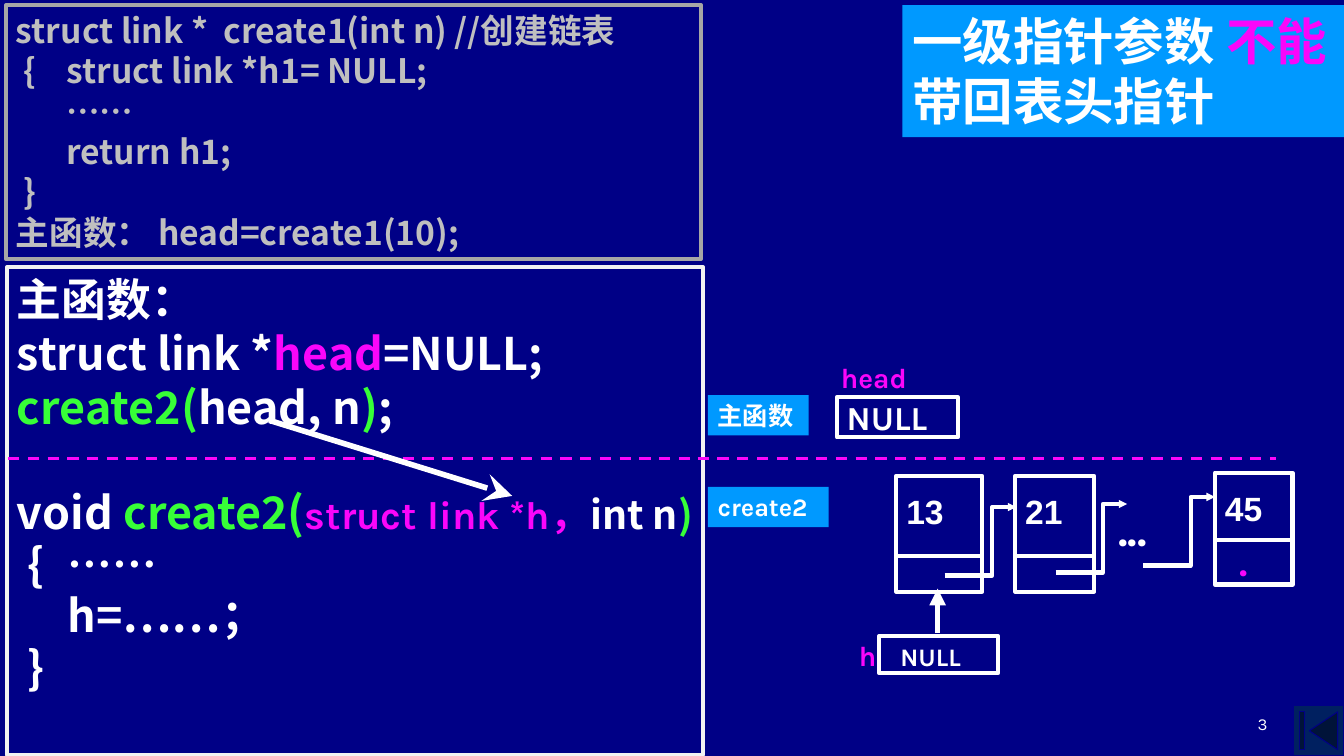
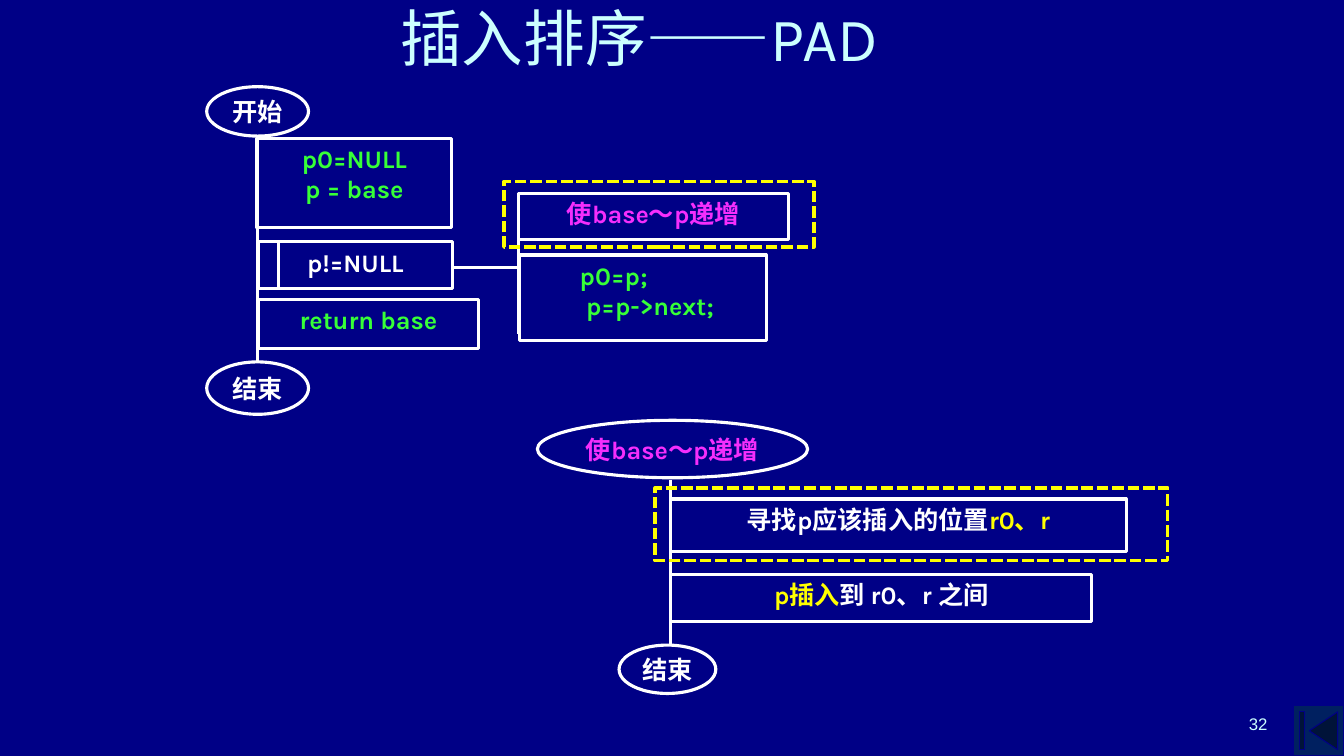
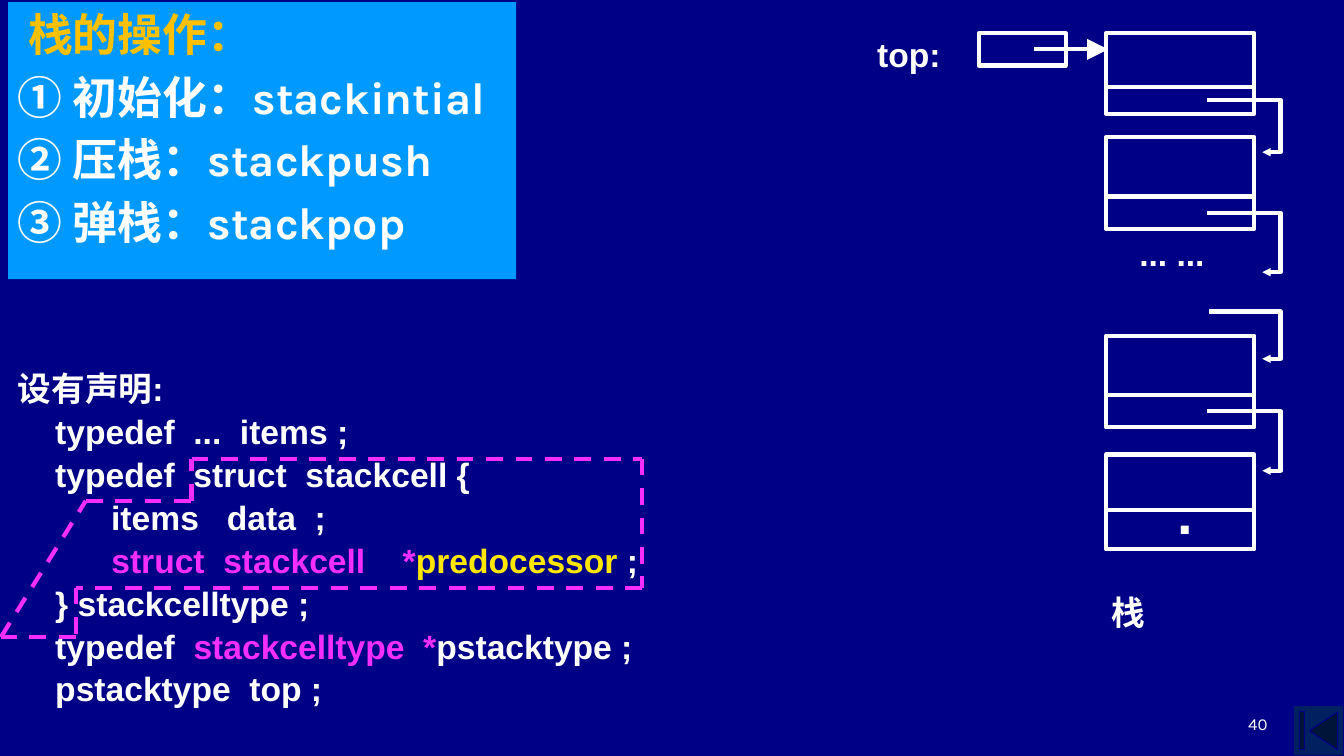
from lxml import etree
from pptx import Presentation
from pptx import util as u
from pptx.dml.color import RGBColor
from pptx.enum import dml, shapes, text
from pptx.oxml.ns import qn

INK = {"navy": "000086", "white": "FFFFFF", "pale": "F2F2F2", "grey": "A6A6A6",
       "silver": "BFBFBF", "blue": "0099FF", "deep": "002060", "ice": "CCFFFF",
       "pink": "FA06FA", "rose": "F52EFC", "green": "37FF37", "yellow": "FFFF00",
       "lemon": "FFE701", "gold": "FFC000"}
CJK = "Noto Sans CJK SC"
BASE = {"size": 18, "name": "Karla", "bold": True, "ink": "white"}
TIGHT = (0.01, 0.01)
LEAD = 1.2
LEFT, MID, RIGHT, EVEN = (text.PP_ALIGN.LEFT, text.PP_ALIGN.CENTER,
                          text.PP_ALIGN.RIGHT, text.PP_ALIGN.JUSTIFY)
DASH, DOTS = dml.MSO_LINE.DASH, dml.MSO_LINE.SQUARE_DOT
KIND = shapes.MSO_SHAPE


def rgb(ink):
    return RGBColor.from_string(INK[ink])


def put(obj, vals):
    for key, val in vals.items():
        setattr(obj, key, val)


def write(shape, paras, pad=(0.1, 0.05), align=LEFT, wrap=True,
          anchor=text.MSO_ANCHOR.TOP, gap=0, **fmt):
    """A paragraph is a string or a list of strings, (text, changes) and
    at most one dict of paragraph values."""
    base = {**BASE, **fmt}
    frame = shape.text_frame
    side, edge = (u.Inches(v) for v in pad)
    put(frame, {"word_wrap": wrap, "vertical_anchor": anchor,
                "margin_left": side, "margin_right": min(side, u.Inches(0.1)),
                "margin_top": edge, "margin_bottom": edge})
    for i, para in enumerate(paras):
        par = frame.paragraphs[0] if i == 0 else frame.add_paragraph()
        put(par, {"alignment": align, "line_spacing": u.Pt(base["size"] * LEAD),
                  "space_before": u.Pt(gap if i else 0)})
        for part in [para] if isinstance(para, str) else para:
            if isinstance(part, dict):
                put(par, part)
                continue
            words, diff = (part, {}) if isinstance(part, str) else part
            look = {**base, **diff}
            run = par.add_run()
            run.text = words
            put(run.font, {"size": u.Pt(look["size"]), "name": look["name"],
                           "bold": look["bold"]})
            run.font.color.rgb = rgb(look["ink"])
            etree.SubElement(run.font._element, qn("a:ea"), typeface=CJK)
    return shape


def stroke(obj, ink, width, dash=None, tip=None):
    """Style a line; tip is (type, width, length) of its arrowhead."""
    obj.line.color.rgb = rgb(ink)
    obj.line.width = u.Pt(width)
    if dash:
        obj.line.dash_style = dash
    if tip:
        ln = obj.element.spPr.find(qn("a:ln"))
        etree.SubElement(ln, qn("a:tailEnd"), **dict(zip(("type", "w", "len"), tip)))


class Area:
    """A region of a slide; all lengths are inches from its corner."""

    def __init__(self, slide, left=0, top=0):
        self.art, self.left, self.top = slide.shapes, left, top

    def at(self, x, y):
        return u.Inches(self.left + x), u.Inches(self.top + y)

    def box(self, x, y, w, h, kind=KIND.RECTANGLE, fill=None, ink="white",
            width=3, dash=None):
        shape = self.art.add_shape(kind, *self.at(x, y), u.Inches(w), u.Inches(h))
        shape.shadow.inherit = False
        if fill:
            shape.fill.solid()
            shape.fill.fore_color.rgb = rgb(fill)
        else:
            shape.fill.background()
        if ink:
            stroke(shape, ink, width, dash)
        else:
            shape.line.fill.background()
        return shape

    def label(self, x, y, w, h, *paras, **fmt):
        area = self.art.add_textbox(*self.at(x, y), u.Inches(w), u.Inches(h))
        return write(area, paras, **fmt)

    def line(self, x1, y1, x2, y2, ink="white", width=3, dash=None, tip=None):
        line = self.art.add_connector(shapes.MSO_CONNECTOR.STRAIGHT,
                                      *self.at(x1, y1), *self.at(x2, y2))
        stroke(line, ink, width, dash, tip)
        etree.SubElement(line.element.spPr, qn("a:effectLst"))

    def hop(self, x, y, mid, rise, end):
        """Elbow arrow: across, up or down, then to its end."""
        pen = self.art.build_freeform(*self.at(x, y), scale=1.0)
        pen.add_line_segments([self.at(x + mid, y), self.at(x + mid, y + rise),
                               self.at(x + end, y + rise)], close=False)
        path = pen.convert_to_shape()
        path.shadow.inherit = False
        path.fill.background()
        stroke(path, "white", 3, tip=("triangle", "sm", "sm"))

    def cell(self, x, y, w, h, split):
        """List cell with a data part above a link part."""
        self.box(x, y, w, h)
        self.line(x, y + split, x + w, y + split)


def page(prs, num, **fmt):
    slide = prs.slides.add_slide(prs.slide_layouts[6])
    area = Area(slide)
    area.box(12.83, 7, 0.5, 0.5, KIND.ACTION_BUTTON_BEGINNING, "deep", "navy", 0.75)
    area.label(9.56, 6.83, 3.11, 0.5, num, align=RIGHT,
               anchor=text.MSO_ANCHOR.BOTTOM, **{"size": 12, "bold": False, **fmt})
    return slide


# Slide 1: head pointer
def code(slide, x, y):
    area = Area(slide, x, y)
    write(area.box(0, 0, 6.89, 2.52, ink="grey"),
          ["struct link *  create1(int n) //创建链表", " { \tstruct link *h1= NULL;",
           "\t……", " \treturn h1;", " }", "主函数： head=create1(10);"],
          align=EVEN, size=24, name=CJK, ink="silver")
    pink, green = {"ink": "pink"}, {"ink": "green"}
    small = {"size": 28}
    low = {"line_spacing": u.Pt(37)}
    write(area.box(0.01, 2.6, 6.9, 4.84, ink="pale"),
          ["主函数： ",
           ["struct link *", ("head", pink), "=NULL;"],
           [("create2(", green), "head, n", (")", green), ";"],
           [{**low, "space_before": u.Pt(38)}, "void ", ("create2(", green),
            ("struct link *h", {**pink, **small, "name": "Karla"}),
            ("，", {**pink, **small}), ("int n", small), (") ", {**green, **small})],
           [low, " { \t……"], [low, "\th=……；"], [low, " }"]],
          align=EVEN, size=32, name=CJK)


def chain(slide, x, y):
    area = Area(slide, x, y)
    # Variables and the functions that own them
    area.label(1.31, 0, 0.77, 0.46, "head", pad=TIGHT, size=20, ink="pink")
    write(area.box(1.28, 0.37, 1.2, 0.4, width=2.75), ["NULL"], pad=(0.1, 0), size=24)
    for top, wide, name in ((0.35, 1, "主函数"), (1.26, 1.2, "create2")):
        write(area.box(0, top, wide, 0.4, fill="blue", ink=None), [name])
    area.label(1.49, 2.75, 0.46, 0.46, "h", pad=TIGHT, size=20, ink="pink")
    write(area.box(1.7, 2.74, 1.18, 0.37, width=2.75), ["NULL"], pad=(0.21, 0.05))
    area.line(2.28, 2.71, 2.28, 2.27, width=4, tip=("triangle", "med", "med"))
    # Linked cells
    for left, top, wide, high, split, num in (
            (1.87, 1.15, 0.85, 1.15, 0.8, "13"), (3.05, 1.15, 0.78, 1.15, 0.8, "21"),
            (5.03, 1.12, 0.77, 1.11, 0.67, "45")):
        area.cell(left, top, wide, high, split)
        area.label(left, top + 0.1, 0.71, 0.5, num, size=24, name="Arial")
    for left, top in ((2.35, 2.14), (3.45, 2.11), (4.32, 2.04)):
        area.hop(left, top, 0.47, -0.68, 0.71)
    area.label(4.06, 1.4, 0.73, 0.42, "...", pad=TIGHT, size=32)
    area.label(5.26, 1.75, 0.3, 0.45, ".", pad=TIGHT, size=28, ink="pink")


def pointer(prs):
    slide = page(prs, "3")
    code(slide, 0.06, 0.05)
    chain(slide, 7.02, 3.57)
    area = Area(slide)
    title = write(area.box(8.95, 0.05, 4.39, 1.31, fill="blue", ink=None),
                  [["一级指针参数 ", ("不能", {"ink": "pink"})], "带回表头指针"],
                  size=36)
    title.text_frame.margin_right = 0
    for start, end in ((0.08, 6.84), (6.92, 12.66)):
        area.line(start, 4.55, end, 4.55, "pink", 2, DASH)
    area.line(2.67, 4.17, 5.08, 4.92, width=4, tip=("stealth", "lg", "lg"))


# Slide 2: PAD charts
def oval(area, x, y, w, h, words, ink="white"):
    write(area.box(x, y, w, h, KIND.OVAL, width=2.25), [words], pad=(0, 0),
          align=MID, wrap=False, anchor=text.MSO_ANCHOR.MIDDLE, ink=ink)


def step(area, x, y, w, h, *paras, **fmt):
    write(area.box(x, y, w, h, width=2.25), paras, **{"align": MID, **fmt})


def outer(slide, x, y):
    area = Area(slide, x, y)
    for ends in ((0.5, 0.5, 0.5, 2.73), (0.71, 1.54, 0.71, 2),
                 (2.44, 1.79, 3.09, 1.79), (3.09, 1.21, 3.09, 2.45)):
        area.line(*ends, width=2.25)
    oval(area, 0, 0, 1.01, 0.49, "开始")
    step(area, 0.5, 0.51, 1.93, 0.89, "p0=NULL", "p = base", ink="green")
    step(area, 0.51, 1.54, 1.93, 0.46, "p!=NULL")
    step(area, 0.51, 2.11, 2.19, 0.49, "return base", ink="green")
    oval(area, 0, 2.73, 1.01, 0.52, "结束")
    # Loop body
    step(area, 3.09, 1.06, 2.68, 0.46, "使base～p递增", ink="rose")
    step(area, 3.1, 1.67, 2.45, 0.85, "p0=p;", " p=p->next;", ink="green",
         align=LEFT, pad=(0.6, 0.05))
    area.box(2.95, 0.94, 3.07, 0.65, ink="yellow", width=2.75, dash=DOTS)


def inner(slide, x, y):
    area = Area(slide, x, y)
    gold = {"ink": "yellow"}
    area.line(1.32, 0.59, 1.32, 2.24, width=2.25)
    oval(area, 0, 0, 2.68, 0.57, "使base～p递增", "rose")
    step(area, 1.32, 0.78, 4.52, 0.52, ["寻找p应该插入的位置", ("r0、r", gold)])
    step(area, 1.32, 1.53, 4.18, 0.47, [("p插入", gold), "到 r0、r 之间"])
    oval(area, 0.81, 2.23, 0.96, 0.48, "结束")
    area.box(1.17, 0.67, 5.08, 0.72, ink="yellow", width=2.75, dash=DOTS)


def sorting(prs):
    slide = page(prs, "32", name="Arial", ink="ice")
    Area(slide).label(1.84, 0, 9, 0.73, "插入排序——PAD", pad=(0, 0), align=MID,
                      size=44, bold=False, ink="ice")
    outer(slide, 2.05, 0.86)
    inner(slide, 5.33, 4.17)


# Slide 3: stack
def types(slide, x, y):
    area = Area(slide, x, y)
    rose = {"ink": "rose"}
    lines = ["设有声明:", "    typedef  ...  items ;",
             "    typedef  struct  stackcell {", "          items   data  ;",
             ["          ", ("struct  stackcell    *", rose),
              ("predocessor", {"ink": "lemon"}), " ;"],
             "    } stackcelltype ;",
             ["    typedef  ", ("stackcelltype  *", rose), "pstacktype ;"],
             "    pstacktype  top ;"]
    tight = {"line_spacing": u.Pt(25)}
    paras = [[tight, *([row] if isinstance(row, str) else row)] for row in lines]
    area.label(0, 0, 7.05, 3.86, *paras, gap=5.7, size=24, name="Arial")
    # Dashed outline around the struct
    marks = [(1.82, 0.9), (6.29, 0.9), (6.29, 2.18), (0.67, 2.18),
             (0.67, 2.67), (-0.07, 2.67), (0.77, 1.32), (1.82, 1.32)]
    for start, end in zip(marks, marks[1:] + marks[:1]):
        area.line(*start, *end, "rose", 3, DASH)


def stack(slide, x, y):
    area = Area(slide, x, y)
    fmt = {"pad": TIGHT, "size": 24, "name": "Arial"}
    area.label(0, 0, 0.9, 0.31, "top:", **fmt)
    area.box(1.02, 0, 0.86, 0.32)
    for top, high, split in ((0, 0.8, 0.53), (1.03, 0.91, 0.59),
                             (3, 0.91, 0.59), (4.18, 0.94, 0.55)):
        area.cell(2.28, top, 1.47, high, split)
    for left, top, drop in ((3.28, 0.66, 0.52), (3.28, 1.78, 0.59),
                            (3.3, 2.76, 0.47), (3.28, 3.75, 0.59)):
        area.hop(left, top, 4.01 - left, drop, 3.83 - left)
    area.line(1.57, 0.16, 2.3, 0.16, tip=("triangle", "lg", "lg"))
    area.label(2.6, 1.97, 1, 0.38, "... ...", **fmt)
    area.label(2.98, 4.41, 0.45, 0.47, ".", **{**fmt, "size": 40})
    area.label(2.24, 5.49, 1, 0.41, "栈", size=24, name=CJK)


def stacking(prs):
    slide = page(prs, "40")
    types(slide, 0.08, 3.65)
    stack(slide, 8.69, 0.33)
    write(Area(slide).box(0.08, 0.02, 5.04, 2.75, fill="blue", ink=None),
          [[(" 栈的操作：", {"ink": "gold"})], "① 初始化：stackintial",
           "② 压栈：stackpush", "③ 弹栈：stackpop"], size=32, gap=6.2)


def main():
    prs = Presentation()
    put(prs, {"slide_width": u.Inches(13.33), "slide_height": u.Inches(7.5)})
    back = prs.slide_master.background.fill
    back.solid()
    back.fore_color.rgb = rgb("navy")
    for build in (pointer, sorting, stacking):
        build(prs)
    prs.save("out.pptx")


if __name__ == "__main__":
    main()
